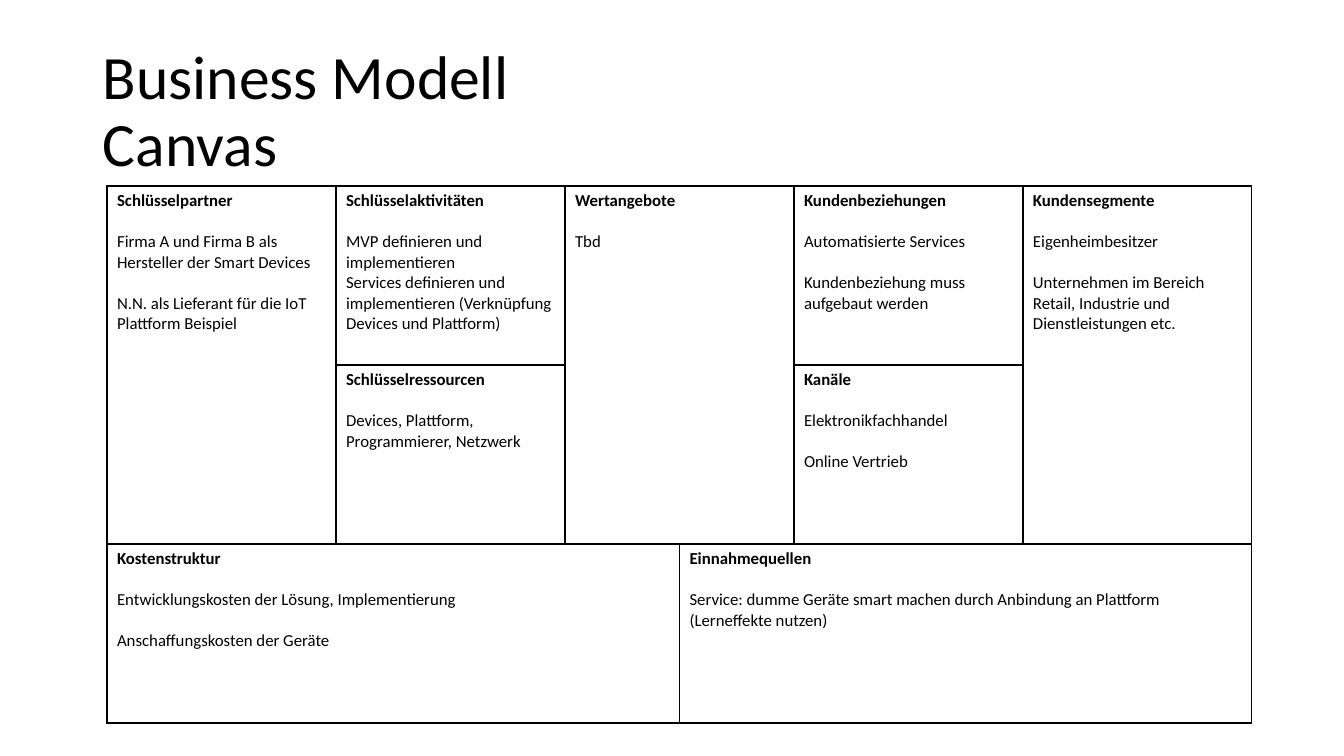
import pptx
import pptx.dml.color
import pptx.enum.text
import pptx.oxml
import pptx.oxml.ns
import pptx.util

TITLE = "Business Modell\vCanvas"

# Row, column, row span, column span, heading, blocks of paragraphs
FIELDS = [
    (0, 0, 2, 1, "Schlüsselpartner",
     [["Firma A und Firma B als Hersteller der Smart Devices"],
      ["N.N. als Lieferant für die IoT Plattform Beispiel"]]),
    (0, 1, 1, 1, "Schlüsselaktivitäten",
     [["MVP definieren und implementieren",
       "Services definieren und implementieren (Verknüpfung Devices und Plattform)"]]),
    (0, 2, 2, 2, "Wertangebote", [["Tbd"]]),
    (0, 4, 1, 1, "Kundenbeziehungen",
     [["Automatisierte Services"], ["Kundenbeziehung muss aufgebaut werden"]]),
    (0, 5, 2, 1, "Kundensegmente",
     [["Eigenheimbesitzer"],
      ["Unternehmen im Bereich Retail, Industrie und Dienstleistungen etc."]]),
    (1, 1, 1, 1, "Schlüsselressourcen",
     [["Devices, Plattform, Programmierer, Netzwerk"]]),
    (1, 4, 1, 1, "Kanäle", [["Elektronikfachhandel"], ["Online Vertrieb"]]),
    (2, 0, 1, 3, "Kostenstruktur",
     [["Entwicklungskosten der Lösung, Implementierung"],
      ["Anschaffungskosten der Geräte"]]),
    (2, 3, 1, 3, "Einnahmequellen",
     [["Service: dumme Geräte smart machen durch Anbindung an Plattform "
       "(Lerneffekte nutzen)"]]),
]

THEME = {
    "font": "Calibri",
    "ink": "000000",
    "title_size": 44,
    "body_size": 12,
    "block_gap": 14.65,
    "border": 1,
}

SCALE = 914400 / 100.8
SLIDE_SIZE = (1344, 756)
TITLE_BOX = (93, 40, 1159, 146)
CANVAS_LEFT, CANVAS_TOP = 107, 186
CANVAS_WIDTH, ROW_HEIGHT, ROW_COUNT = 1145, 179, 3
COLUMN_SHARES = [2, 2, 1, 1, 2, 2]


def px(length):
    """Turn pixels into EMU."""
    return pptx.util.Emu(round(length * SCALE))


def write(para, text, size=THEME["body_size"], bold=False, before=0, spacing=None):
    """Fill a paragraph with text in the given format."""
    para.text = text
    para.space_before = pptx.util.Pt(before)
    para.line_spacing = spacing
    for span in para.runs:
        span.font.name = THEME["font"]
        span.font.size = pptx.util.Pt(size)
        span.font.bold = bold
        span.font.color.rgb = pptx.dml.color.RGBColor.from_string(THEME["ink"])


def style_cell(cell):
    """Give a cell four solid borders and no fill."""
    properties = cell._tc.get_or_add_tcPr()
    width = pptx.util.Pt(THEME["border"])
    for side in ("lnL", "lnR", "lnT", "lnB"):
        properties.append(pptx.oxml.parse_xml(
            f'<a:{side} {pptx.oxml.ns.nsdecls("a")} w="{width}"><a:solidFill>'
            f'<a:srgbClr val="{THEME["ink"]}"/></a:solidFill></a:{side}>'))
    cell.fill.background()


def add_title(page):
    """Add the two-line title."""
    box = page.shapes.add_textbox(*map(px, TITLE_BOX))
    frame = box.text_frame
    frame.word_wrap = True
    frame.vertical_anchor = pptx.enum.text.MSO_ANCHOR.MIDDLE
    write(frame.paragraphs[0], TITLE, size=THEME["title_size"], spacing=0.9)


def fill_field(cell, heading, blocks):
    """Write a bold heading and its spaced blocks into a cell."""
    frame = cell.text_frame
    write(frame.paragraphs[0], heading, bold=True)
    for block in blocks:
        for index, text in enumerate(block):
            gap = 0 if index else THEME["block_gap"]
            write(frame.add_paragraph(), text, before=gap)


def add_canvas(page):
    """Add the business model grid with its merged fields."""
    table = page.shapes.add_table(
        ROW_COUNT, len(COLUMN_SHARES), px(CANVAS_LEFT), px(CANVAS_TOP),
        px(CANVAS_WIDTH), px(ROW_HEIGHT * ROW_COUNT)).table
    table.first_row = table.horz_banding = False
    for column, share in zip(table.columns, COLUMN_SHARES):
        column.width = px(CANVAS_WIDTH * share / sum(COLUMN_SHARES))
    for row in table.rows:
        row.height = px(ROW_HEIGHT)
    for cell in table.iter_cells():
        style_cell(cell)
    for row, column, row_span, column_span, heading, blocks in FIELDS:
        cell = table.cell(row, column)
        if row_span * column_span > 1:
            cell.merge(table.cell(row + row_span - 1, column + column_span - 1))
        fill_field(cell, heading, blocks)


deck = pptx.Presentation()
deck.slide_width, deck.slide_height = map(px, SLIDE_SIZE)
page = deck.slides.add_slide(deck.slide_layouts[6])
add_title(page)
add_canvas(page)
deck.save("out.pptx")
